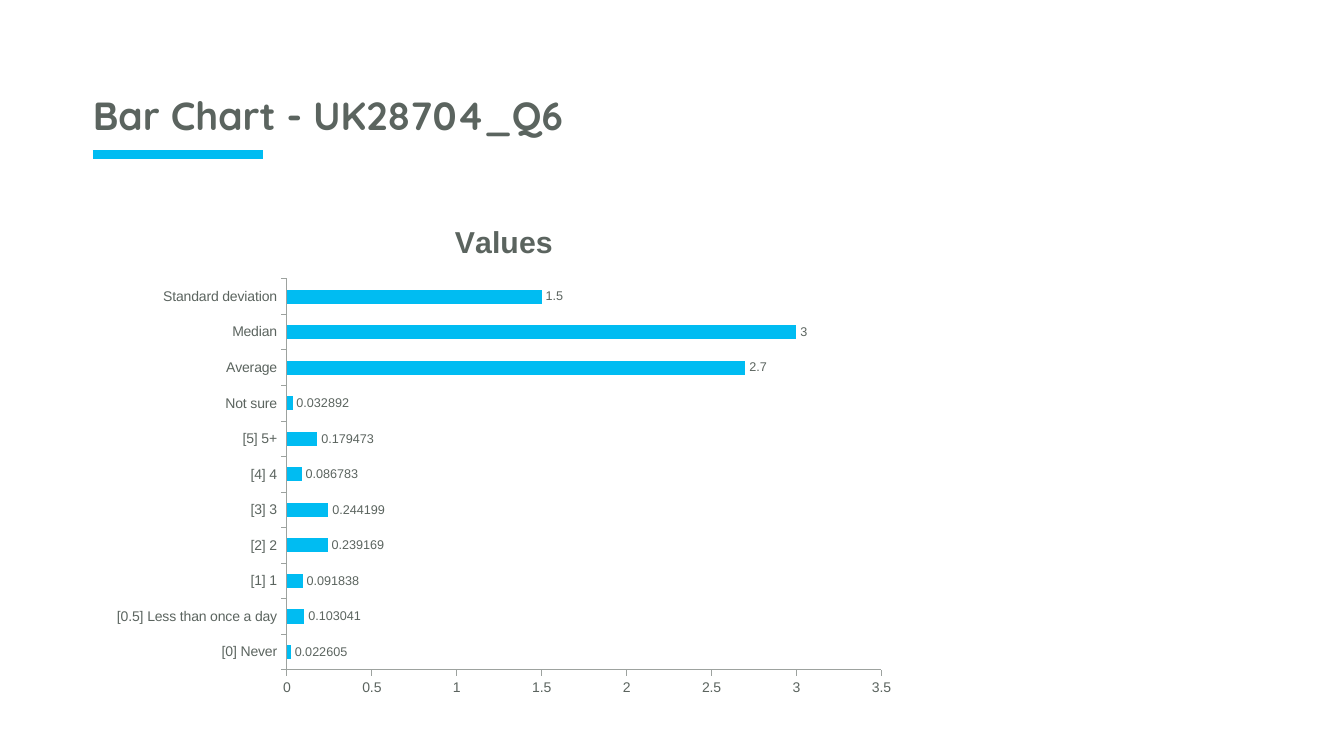
from lxml.etree import SubElement
from pptx import Presentation
from pptx.chart.data import CategoryChartData
from pptx.dml.color import RGBColor
from pptx.enum.chart import XL_CHART_TYPE as ChartType
from pptx.enum.chart import XL_LABEL_POSITION as LabelPosition
from pptx.enum.chart import XL_TICK_MARK as TickMark
from pptx.enum.shapes import MSO_CONNECTOR as Connector
from pptx.enum.text import MSO_ANCHOR as Anchor
from pptx.enum.text import MSO_AUTO_SIZE as AutoSize
from pptx.enum.text import PP_ALIGN as Align
from pptx.oxml.ns import qn
from pptx.util import Cm, Pt

GREY = RGBColor(0x5B, 0x64, 0x5F)
AXIS_GREY = RGBColor(0x9D, 0xA2, 0x9F)
CYAN = RGBColor(0x00, 0xBC, 0xF2)
LEFT_MARGIN = 2.34

ANSWERS = {
    "[0] Never": 0.022605,
    "[0.5] Less than once a day": 0.103041,
    "[1] 1": 0.091838,
    "[2] 2": 0.239169,
    "[3] 3": 0.244199,
    "[4] 4": 0.086783,
    "[5] 5+": 0.179473,
    "Not sure": 0.032892,
    "Average": 2.7,
    "Median": 3,
    "Standard deviation": 1.5,
}


def apply_format(target, values):
    for name, value in values.items():
        setattr(target, name, value)


class SlideBuilder:
    title_font = {"name": "Quicksand", "size": Pt(28), "bold": True}
    chart_font = {"name": "Arial", "size": Pt(18)}

    def __init__(self, slide):
        self.slide = slide

    def style_font(self, font, values):
        apply_format(font, values)
        font.color.rgb = GREY

    def title(self, text, left, top, width, height):
        title = self.slide.shapes.title
        apply_format(title, {"left": Cm(left), "top": Cm(top),
                             "width": Cm(width), "height": Cm(height)})
        frame = title.text_frame
        apply_format(frame, {"text": text, "word_wrap": True,
                             "auto_size": AutoSize.NONE,
                             "vertical_anchor": Anchor.BOTTOM,
                             "margin_left": 0, "margin_right": 0})
        paragraph = frame.paragraphs[0]
        apply_format(paragraph, {"alignment": Align.LEFT, "line_spacing": 0.9})
        self.style_font(paragraph.runs[0].font, self.title_font)

    def rule(self, left, top, length, weight):
        rule = self.slide.shapes.add_connector(
            Connector.STRAIGHT, Cm(left), Cm(top), Cm(left + length), Cm(top))
        rule.line.color.rgb = CYAN
        rule.line.width = Pt(weight)
        SubElement(rule._element.spPr, qn("a:effectLst"))

    def bar_chart(self, name, values, left, top, width, height):
        data = CategoryChartData()
        data.categories = list(values)
        data.add_series(name, list(values.values()))
        chart = self.slide.shapes.add_chart(
            ChartType.BAR_CLUSTERED, Cm(left), Cm(top), Cm(width), Cm(height),
            data).chart
        apply_format(chart, {"has_legend": False, "has_title": True})
        self.style_font(chart.font, self.chart_font)

        heading = chart.chart_title
        heading.include_in_layout = False
        heading.text_frame.text = name
        run = heading.text_frame.paragraphs[0].runs[0]
        self.style_font(run.font,
                        self.chart_font | {"size": Pt(21.6), "bold": True})

        for axis in (chart.category_axis, chart.value_axis):
            apply_format(axis, {"has_major_gridlines": False,
                                "major_tick_mark": TickMark.OUTSIDE,
                                "minor_tick_mark": TickMark.NONE})
            axis.format.line.color.rgb = AXIS_GREY
            self.style_font(axis.tick_labels.font,
                            self.chart_font | {"size": Pt(10)})

        plot = chart.plots[0]
        apply_format(plot, {"gap_width": 150, "vary_by_categories": False,
                            "has_data_labels": True})
        apply_format(plot.data_labels, {"show_value": True,
                                        "position": LabelPosition.OUTSIDE_END})
        self.style_font(plot.data_labels.font,
                        self.chart_font | {"size": Pt(9)})
        fill = plot.series[0].format.fill
        fill.solid()
        fill.fore_color.rgb = CYAN


def main():
    presentation = Presentation()
    apply_format(presentation, {"slide_width": Cm(33.87),
                                "slide_height": Cm(19.05)})
    title_only = presentation.slide_layouts.get_by_name("Title Only")
    builder = SlideBuilder(presentation.slides.add_slide(title_only))
    builder.rule(LEFT_MARGIN, 3.89, 4.29, 6)
    builder.title("Bar Chart - UK28704_Q6", LEFT_MARGIN, 1.02, 29.21, 2.62)
    builder.bar_chart("Values", ANSWERS, 2.54, 5.08, 20.32, 12.7)
    presentation.save("out.pptx")


if __name__ == "__main__":
    main()
